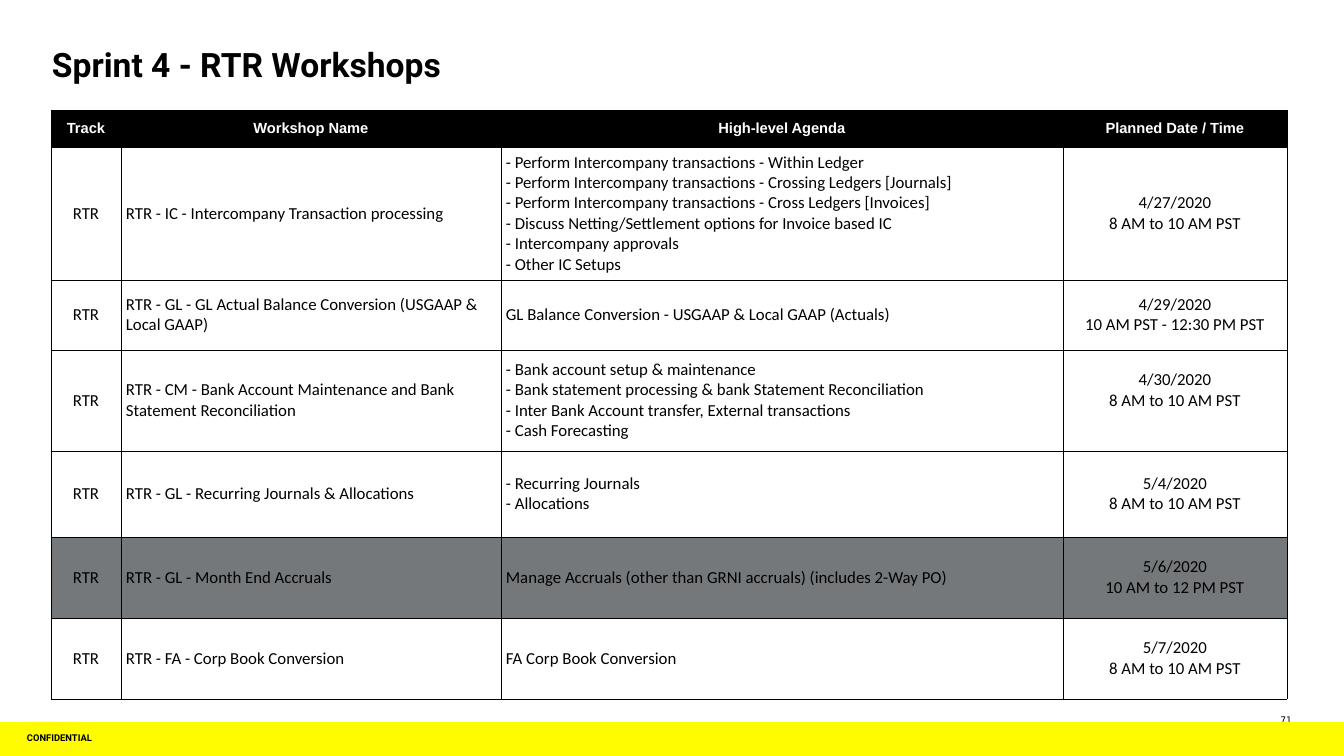
from lxml import etree
from pptx import Presentation
from pptx import util as u
from pptx.dml.color import RGBColor
from pptx.enum import shapes, text
from pptx.oxml import ns

EMU_PER_PX = 914400 / 100.8
COLORS = {"ink": "000000", "paper": "FFFFFF", "band": "FFFC00", "shaded": "75787B"}
LEFT, CENTER, RIGHT = text.PP_ALIGN.LEFT, text.PP_ALIGN.CENTER, text.PP_ALIGN.RIGHT
TOP, MIDDLE = text.MSO_ANCHOR.TOP, text.MSO_ANCHOR.MIDDLE

HEADINGS = ["Track", "Workshop Name", "High-level Agenda", "Planned Date / Time"]
WORKSHOPS = [
    ("RTR - IC - Intercompany Transaction processing",
     "- Perform Intercompany transactions - Within Ledger\n"
     "- Perform Intercompany transactions - Crossing Ledgers [Journals]\n"
     "- Perform Intercompany transactions - Cross Ledgers [Invoices]\n"
     "- Discuss Netting/Settlement options for Invoice based IC\n"
     "- Intercompany approvals\n"
     "- Other IC Setups",
     "4/27/2020\n8 AM to 10 AM PST"),
    ("RTR - GL - GL Actual Balance Conversion (USGAAP & Local GAAP)",
     "GL Balance Conversion - USGAAP & Local GAAP (Actuals)",
     "4/29/2020\n10 AM PST - 12:30 PM PST"),
    ("RTR - CM - Bank Account Maintenance and Bank Statement Reconciliation",
     "- Bank account setup & maintenance\n"
     "- Bank statement processing & bank Statement Reconciliation\n"
     "- Inter Bank Account transfer, External transactions\n"
     "- Cash Forecasting",
     "4/30/2020\n8 AM to 10 AM PST"),
    ("RTR - GL - Recurring Journals & Allocations",
     "- Recurring Journals\n- Allocations",
     "5/4/2020\n8 AM to 10 AM PST"),
    ("RTR - GL - Month End Accruals",
     "Manage Accruals (other than GRNI accruals) (includes 2-Way PO)",
     "5/6/2020\n10 AM to 12 PM PST"),
    ("RTR - FA - Corp Book Conversion",
     "FA Corp Book Conversion",
     "5/7/2020\n8 AM to 10 AM PST"),
]
COLUMN_WIDTHS = [70, 380, 562, 224]
ROW_HEIGHTS = [37, 133, 70, 101, 86, 81, 81]
ALIGNMENTS = [CENTER, LEFT, LEFT, CENTER]
SHADED_ROW = 5
RAISED_DATE = (3, 3)


def px(length):
    return u.Emu(round(length * EMU_PER_PX))


def rgb(name):
    return RGBColor.from_string(COLORS[name])


def write(frame, content, font="Calibri", size=12, color="ink", bold=False,
          align=LEFT, spacing=None):
    for index, line in enumerate(content.split("\n")):
        paragraph = frame.paragraphs[0] if index == 0 else frame.add_paragraph()
        paragraph.alignment = align
        paragraph.line_spacing = spacing
        run = paragraph.add_run()
        run.text = line
        run.font.name, run.font.size, run.font.bold = font, u.Pt(size), bold
        run.font.color.rgb = rgb(color)


def outline_cell(cell):
    properties = cell._tc.get_or_add_tcPr()
    for side in ("lnL", "lnR", "lnT", "lnB"):
        line = etree.SubElement(properties, ns.qn(f"a:{side}"), w=str(u.Pt(0.5)))
        fill = etree.SubElement(line, ns.qn("a:solidFill"))
        etree.SubElement(fill, ns.qn("a:srgbClr"), val=COLORS["ink"])


class WorkshopSlide:
    def __init__(self, deck):
        self.slide = deck.slides.add_slide(deck.slide_layouts[5])

    def frame(self, holder, margin, anchor):
        frame = holder.text_frame
        frame.word_wrap = True
        frame.auto_size = text.MSO_AUTO_SIZE.NONE
        frame.vertical_anchor = anchor
        frame.margin_left = frame.margin_right = px(margin)
        frame.margin_top = frame.margin_bottom = px(margin)
        return frame

    def title(self, content, x, y, width, height, **style):
        title = self.slide.shapes.title
        title.left, title.top, title.width, title.height = map(px, (x, y, width, height))
        write(self.frame(title, 0, TOP), content, **style)

    def label(self, content, x, y, width, height, margin=0, anchor=TOP, **style):
        box = self.slide.shapes.add_textbox(*map(px, (x, y, width, height)))
        write(self.frame(box, margin, anchor), content, **style)

    def band(self, x, y, width, height, color):
        band = self.slide.shapes.add_shape(
            shapes.MSO_SHAPE.RECTANGLE, *map(px, (x, y, width, height)))
        band.shadow.inherit = False
        band.fill.solid()
        band.fill.fore_color.rgb = rgb(color)
        band.line.fill.background()

    def cell(self, cell, content, fill=None, bottom=5, **style):
        cell.vertical_anchor = MIDDLE
        cell.margin_left = cell.margin_right = cell.margin_top = px(5)
        cell.margin_bottom = px(bottom)
        outline_cell(cell)
        if fill:
            cell.fill.solid()
            cell.fill.fore_color.rgb = rgb(fill)
        else:
            cell.fill.background()
        write(cell.text_frame, content, **style)

    def schedule(self, x, y):
        schedule = self.slide.shapes.add_table(
            len(ROW_HEIGHTS), len(COLUMN_WIDTHS), px(x), px(y),
            px(sum(COLUMN_WIDTHS)), px(sum(ROW_HEIGHTS))).table
        schedule.horz_banding = False
        for column, width in zip(schedule.columns, COLUMN_WIDTHS):
            column.width = px(width)
        for row, height in zip(schedule.rows, ROW_HEIGHTS):
            row.height = px(height)
        for column, heading in enumerate(HEADINGS):
            self.cell(schedule.cell(0, column), heading, fill="ink", font="Arial",
                      size=10.5, color="paper", bold=True, align=CENTER)
        for row, workshop in enumerate(WORKSHOPS, start=1):
            for column, content in enumerate(("RTR", *workshop)):
                self.cell(schedule.cell(row, column), content,
                          fill="shaded" if row == SHADED_ROW else None,
                          bottom=25 if (row, column) == RAISED_DATE else 5,
                          align=ALIGNMENTS[column])


def main():
    deck = Presentation()
    deck.slide_width, deck.slide_height = px(1344), px(756)
    page = WorkshopSlide(deck)
    page.label("71", 1258, 714, 34, 11, font="DejaVu Sans", size=6.5, align=RIGHT)
    page.band(0, 722, 1344, 34, "band")
    page.label("CONFIDENTIAL", 24, 722, 182, 34, margin=3, anchor=MIDDLE,
               font="Roboto", size=6.7, bold=True, spacing=0.8)
    page.title("Sprint 4 - RTR Workshops", 52, 44, 1241, 77,
               font="Roboto", size=24, bold=True)
    page.schedule(51, 110)
    deck.save("out.pptx")


if __name__ == "__main__":
    main()
